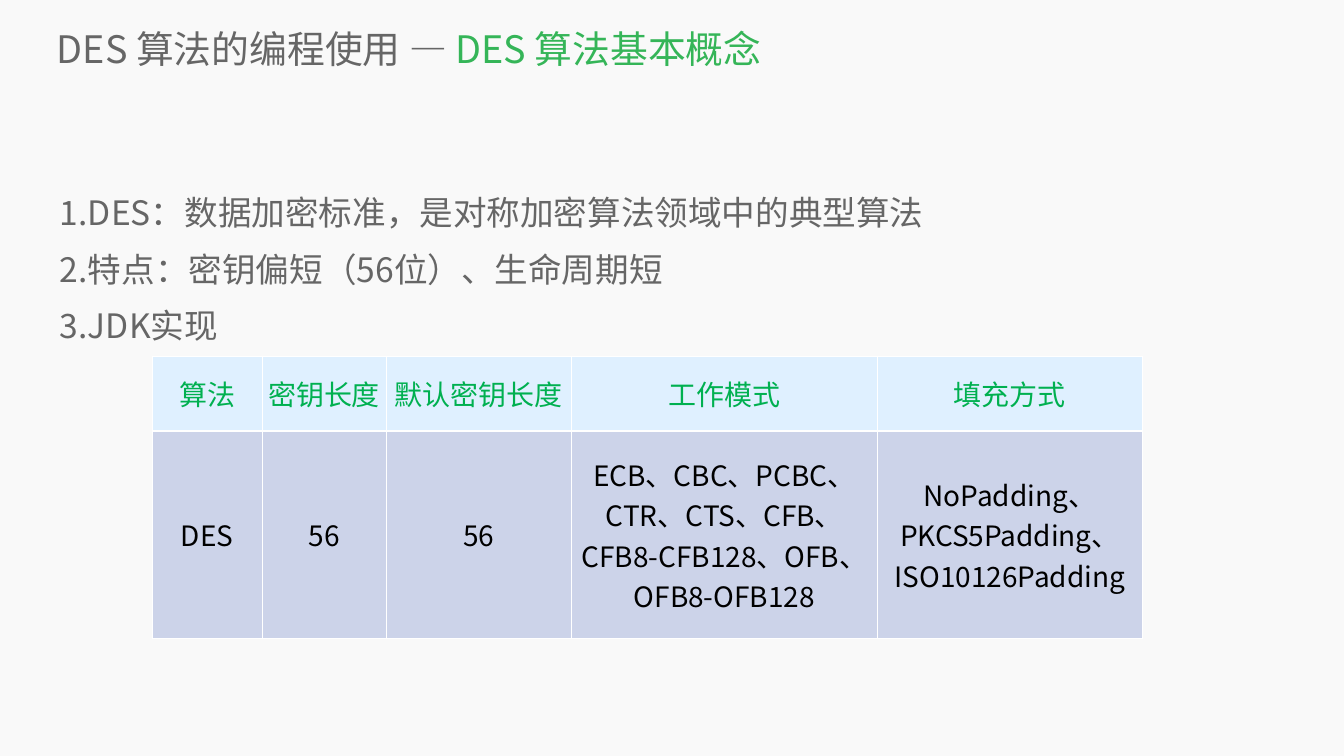
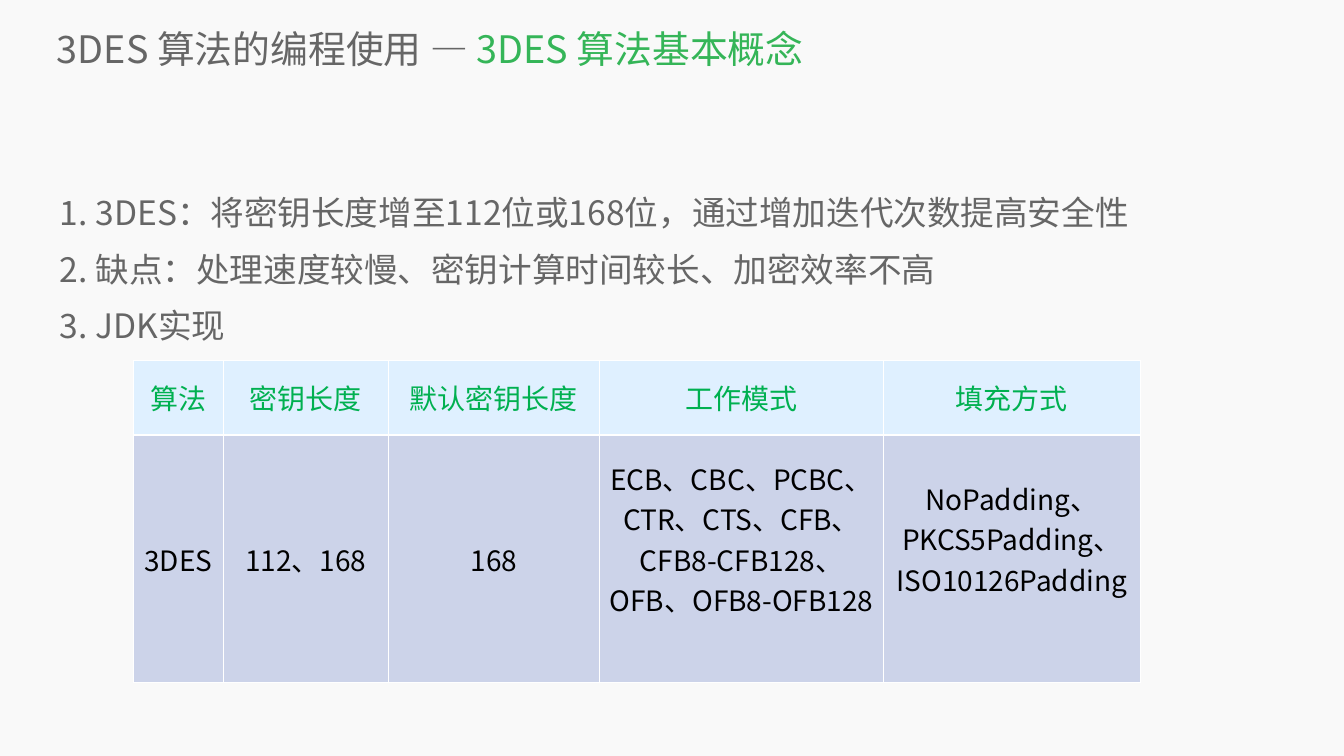
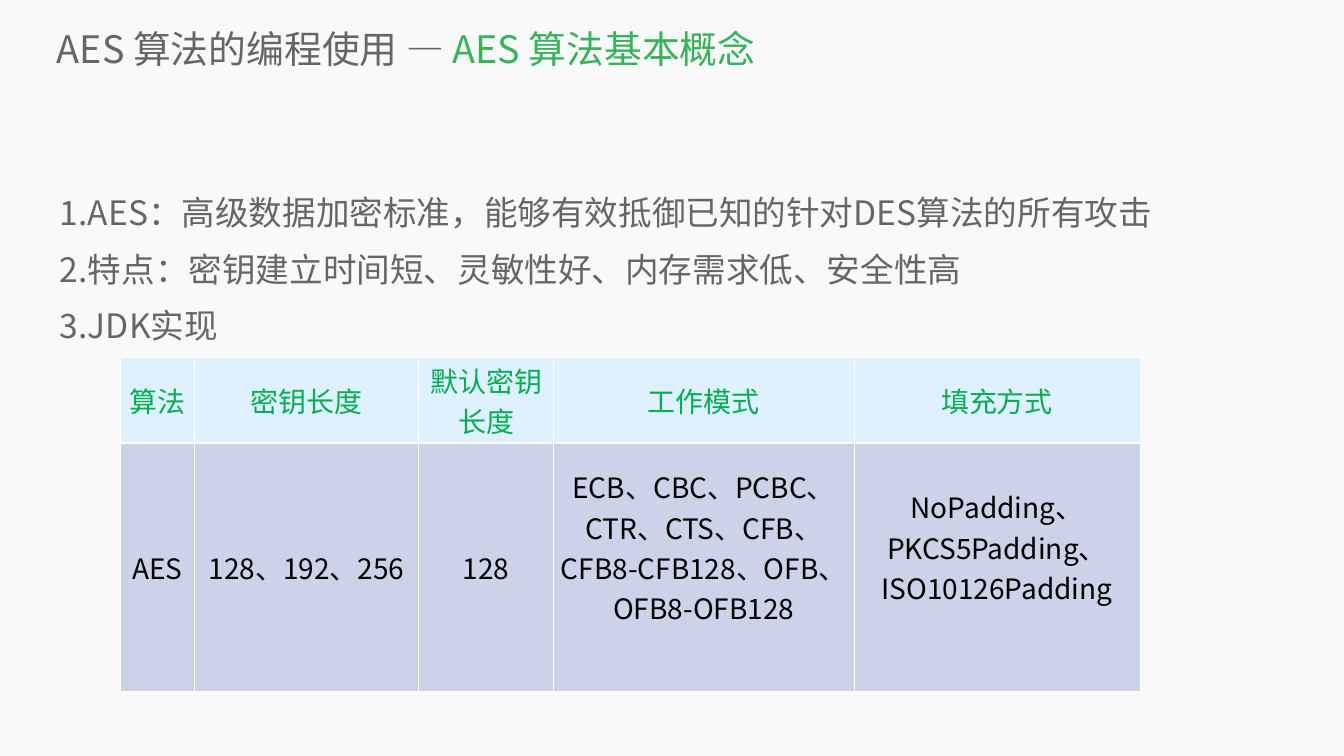
from lxml import etree
from pptx import Presentation
from pptx.dml.color import RGBColor
from pptx.enum.text import MSO_ANCHOR, MSO_AUTO_SIZE, PP_ALIGN
from pptx.oxml.ns import qn
from pptx.util import Inches, Pt

LEFT, CENTER = PP_ALIGN.LEFT, PP_ALIGN.CENTER
TOP, MIDDLE, BOTTOM = MSO_ANCHOR.TOP, MSO_ANCHOR.MIDDLE, MSO_ANCHOR.BOTTOM
NO_FIT = MSO_AUTO_SIZE.NONE

PAPER = RGBColor(0xF9, 0xF9, 0xF9)
GREY = RGBColor(0x66, 0x66, 0x66)
TOPIC_GREEN = RGBColor(0x35, 0xB5, 0x58)
HEADER_GREEN = RGBColor(0x00, 0xB0, 0x50)
BLACK = RGBColor(0x00, 0x00, 0x00)
WHITE = RGBColor(0xFF, 0xFF, 0xFF)
HEADER_BLUE = RGBColor(0xDF, 0xF0, 0xFF)
BODY_BLUE = RGBColor(0xCC, 0xD3, 0xE9)

FONT = "Noto Sans CJK SC"
GRID_UNIT = Inches(1)
SLIDE_COLUMNS, SLIDE_ROWS = 26.67, 15
TITLE_AREA = (1.13, 0.55, 25.16, 0.86)
POINTS_AREA = (1.19, 3.49, 24.28, 11.24)
ROW_HEIGHTS = (1.49, 1.44)
FRAME = {"margin_left": 0, "margin_right": 0, "margin_top": 0,
         "margin_bottom": 0, "word_wrap": True, "auto_size": NO_FIT}
POINT_FORMAT = {"alignment": LEFT, "line_spacing": 1.4,
                "space_before": Pt(0), "space_after": Pt(0)}

HEADINGS = ("算法", "密钥长度", "默认密钥长度", "工作模式", "填充方式")
MODES = "ECB、CBC、PCBC、CTR、CTS、CFB、CFB8-CFB128、OFB、OFB8-OFB128"
PADDINGS = "NoPadding、PKCS5Padding、ISO10126Padding"

LESSONS = (
    {
        "algorithm": "DES",
        "points": ("1.DES：数据加密标准，是对称加密算法领域中的典型算法",
                   "2.特点：密钥偏短（56位）、生命周期短",
                   "3.JDK实现"),
        "key_lengths": ("56", "56"),
        "corner": (3.02, 7.06),
        "widths": (2.18, 2.46, 3.68, 6.07, 5.26),
        "height": 4.26,
        "list_margin": 0.05,
    },
    {
        "algorithm": "3DES",
        "points": ("1. 3DES：将密钥长度增至112位或168位，通过增加迭代次数提高安全性",
                   "2. 缺点：处理速度较慢、密钥计算时间较长、加密效率不高",
                   "3. JDK实现"),
        "key_lengths": ("112、168", "168"),
        "corner": (2.65, 7.14),
        "widths": (1.78, 3.27, 4.2, 5.63, 5.1),
        "height": 4.93,
        "list_margin": 0.85,
    },
    {
        "algorithm": "AES",
        "points": ("1.AES：高级数据加密标准，能够有效抵御已知的针对DES算法的所有攻击",
                   "2.特点：密钥建立时间短、灵敏性好、内存需求低、安全性高",
                   "3.JDK实现"),
        "key_lengths": ("128、192、256", "128"),
        "corner": (2.39, 7.09),
        "widths": (1.47, 4.45, 2.67, 5.97, 5.67),
        "height": 4.93,
        "list_margin": 0.85,
    },
)


def units(length):
    return round(length * GRID_UNIT)


def apply(target, values):
    for name, value in values.items():
        setattr(target, name, value)


class Deck:
    def __init__(self):
        self.presentation = Presentation()
        self.presentation.slide_width = units(SLIDE_COLUMNS)
        self.presentation.slide_height = units(SLIDE_ROWS)
        self.slide = None

    def new_slide(self):
        layout = self.presentation.slide_layouts[0]
        self.slide = self.presentation.slides.add_slide(layout)
        background = self.slide.background.fill
        background.solid()
        background.fore_color.rgb = PAPER

    def words(self, paragraph, text, size, color):
        run = paragraph.add_run()
        run.text = text
        apply(run.font, {"name": FONT, "size": Pt(size), "bold": False})
        run.font.color.rgb = color
        east_asian = etree.SubElement(run.font._element, qn("a:ea"))
        east_asian.set("typeface", FONT)

    def place(self, placeholder, area, anchor):
        sides = ("left", "top", "width", "height")
        apply(placeholder, dict(zip(sides, map(units, area))))
        apply(placeholder.text_frame, {**FRAME, "vertical_anchor": anchor})
        return placeholder.text_frame

    def title(self, subject, topic):
        frame = self.place(self.slide.shapes.title, TITLE_AREA, BOTTOM)
        heading = frame.paragraphs[0]
        heading.alignment = LEFT
        self.words(heading, subject, 54, GREY)
        self.words(heading, topic, 54, TOPIC_GREEN)

    def points(self, lines):
        frame = self.place(self.slide.placeholders[1], POINTS_AREA, TOP)
        for index, line in enumerate(lines):
            point = frame.add_paragraph() if index else frame.paragraphs[0]
            apply(point, POINT_FORMAT)
            self.words(point, line, 48, GREY)

    def border(self, cell, bottom_width):
        properties = cell._tc.get_or_add_tcPr()
        for side, width in (("L", 1), ("R", 1), ("T", 1), ("B", bottom_width)):
            line = etree.SubElement(properties, qn(f"a:ln{side}"), w=str(Pt(width)))
            fill = etree.SubElement(line, qn("a:solidFill"))
            etree.SubElement(fill, qn("a:srgbClr"), val=str(WHITE))

    def cell(self, cell, text, color, fill, bottom_width):
        self.border(cell, bottom_width)
        cell.fill.solid()
        cell.fill.fore_color.rgb = fill
        cell.vertical_anchor = MIDDLE
        paragraph = cell.text_frame.paragraphs[0]
        paragraph.alignment = CENTER
        self.words(paragraph, text, 40, color)

    def table(self, values, corner, widths, height, list_margin):
        area = (*corner, sum(widths), height)
        graphic = self.slide.shapes.add_table(2, len(widths), *map(units, area))
        table = graphic.table
        for column, width in zip(table.columns, widths):
            column.width = units(width)
        for row, row_height in zip(table.rows, ROW_HEIGHTS):
            row.height = units(row_height)
        graphic.height = units(height)
        for index, (heading, value) in enumerate(zip(HEADINGS, values)):
            self.cell(table.cell(0, index), heading, HEADER_GREEN, HEADER_BLUE, 3)
            self.cell(table.cell(1, index), value, BLACK, BODY_BLUE, 1)
        for index in (HEADINGS.index("工作模式"), HEADINGS.index("填充方式")):
            table.cell(1, index).margin_bottom = units(list_margin)

    def lesson(self, algorithm, points, key_lengths, **layout):
        self.new_slide()
        self.title(f"{algorithm} 算法的编程使用 — ", f"{algorithm} 算法基本概念")
        self.points(points)
        self.table((algorithm, *key_lengths, MODES, PADDINGS), **layout)


def main():
    deck = Deck()
    for lesson in LESSONS:
        deck.lesson(**lesson)
    deck.presentation.save("out.pptx")


if __name__ == "__main__":
    main()
